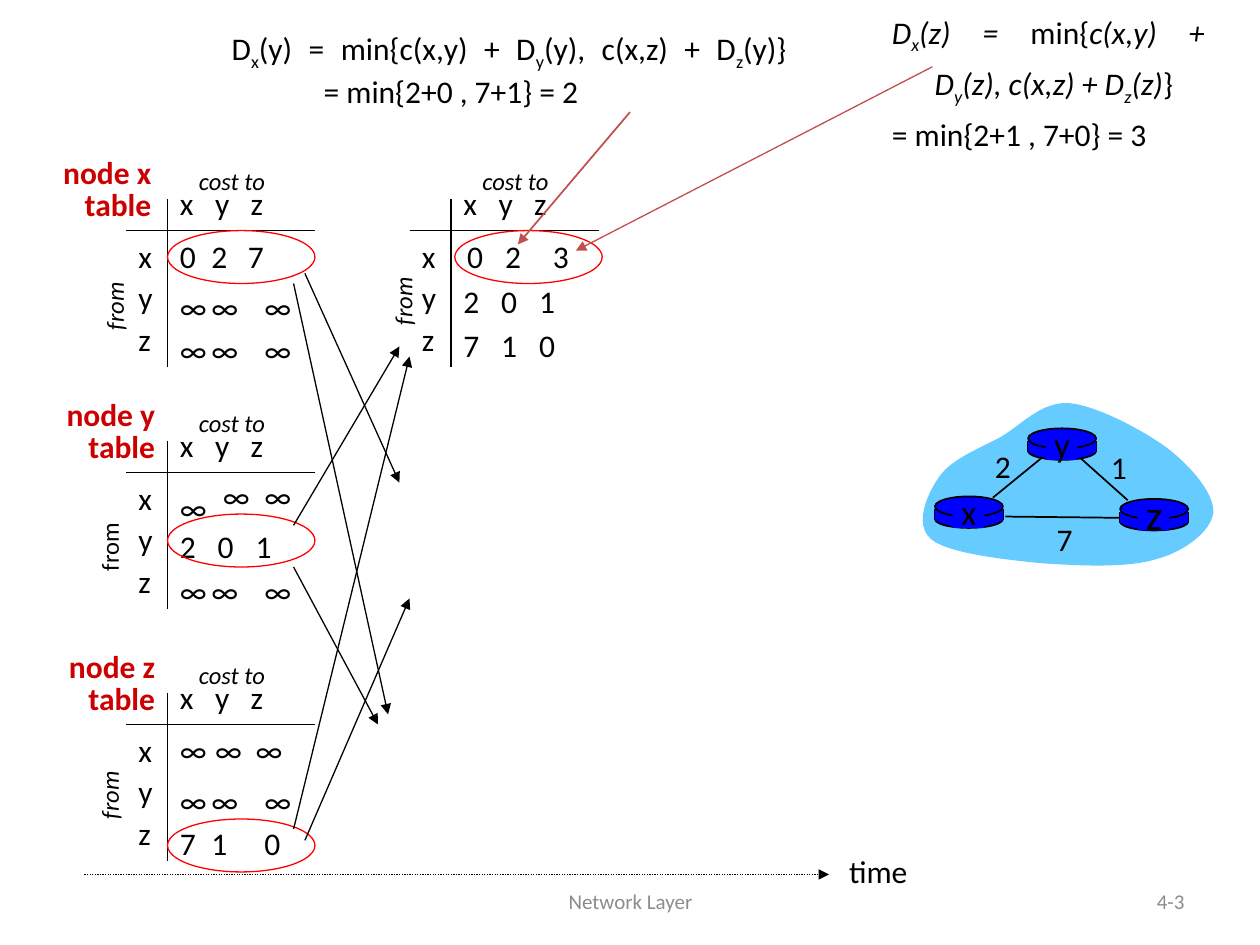
from lxml import etree
from pptx import Presentation
from pptx.dml.color import RGBColor
from pptx.enum.dml import MSO_LINE
from pptx.enum.shapes import MSO_CONNECTOR, MSO_SHAPE
from pptx.enum.text import MSO_ANCHOR, PP_ALIGN
from pptx.oxml.ns import qn
from pptx.util import Inches, Pt

STRAIGHT = MSO_CONNECTOR.STRAIGHT
OVAL, RECT = MSO_SHAPE.OVAL, MSO_SHAPE.RECTANGLE
LEFT, CENTER = PP_ALIGN.LEFT, PP_ALIGN.CENTER
RIGHT, JUST = PP_ALIGN.RIGHT, PP_ALIGN.JUSTIFY
TOP, MIDDLE = MSO_ANCHOR.TOP, MSO_ANCHOR.MIDDLE
DOTS = MSO_LINE.ROUND_DOT
BLACK, RED, BLUE, SKY = "000000", "FF0000", "0000FF", "66CCFF"
BRICK, CRIMSON, GRAY = "C0504D", "CC0000", "8C8C8C"
STEPS = 12
TRIO = (0, .25, .67)


def color(code):
    """Turn a hex string into a colour."""
    return RGBColor.from_string(code)


def add_run(para, text, size, ink, bold, italic, sub=False):
    """Add one formatted run."""
    run = para.add_run()
    run.text = text
    font = run.font
    font.name, font.size, font.bold, font.italic = "Calibri", Pt(size), bold, italic
    font.color.rgb = color(ink)
    if sub:
        run._r.get_or_add_rPr().set("baseline", "-25000")


def write(slide, text, x, y, w, h=.4, size=18, ink=BLACK, bold=False, italic=False,
          align=LEFT, anchor=TOP, wrap=False, turn=0, space=None, tabs=(), hang=0):
    """Write paragraphs; * toggles italics, _ lowers a letter, | breaks a line."""
    box = slide.shapes.add_textbox(Inches(x), Inches(y), Inches(w), Inches(h))
    box.rotation = turn
    frame = box.text_frame
    frame.word_wrap, frame.vertical_anchor = wrap, anchor
    for i, line in enumerate(text.split("\n")):
        para = frame.add_paragraph() if i else frame.paragraphs[0]
        para.alignment, para.line_spacing = align, space
        props = para._p.get_or_add_pPr()
        if hang and "|" in line:
            props.set("marL", str(Inches(hang)))
            props.set("indent", str(-Inches(hang)))
        if tabs:
            stops = etree.SubElement(props, qn("a:tabLst"))
            for stop in tabs:
                etree.SubElement(stops, qn("a:tab"), pos=str(Inches(stop)), algn="l")
        slant = italic
        for row, part in enumerate(line.split("|")):
            if row:
                para.add_line_break()
            for k, span in enumerate(part.split("*")):
                slant = slant != (k > 0)
                head, *lows = span.split("_")
                if head:
                    add_run(para, head, size, ink, bold, slant)
                for low in lows:
                    add_run(para, low[0], size, ink, bold, slant, True)
                    add_run(para, low[1:], size, ink, bold, slant)


def draw_line(slide, x1, y1, x2, y2, ink=BLACK, width=.75, arrow=False, dash=None):
    """Draw a straight line, with an arrowhead at its end if asked."""
    line = slide.shapes.add_connector(
        STRAIGHT, Inches(x1), Inches(y1), Inches(x2), Inches(y2))
    line.line.color.rgb, line.line.width = color(ink), Pt(width)
    if dash:
        line.line.dash_style = dash
    if arrow:
        etree.SubElement(line.line._get_or_add_ln(), qn("a:tailEnd"), type="triangle")
    etree.SubElement(line._element.spPr, qn("a:effectLst"))


def paint(shape, fill=None, ink=None, width=1):
    """Set the fill and outline of a shape."""
    shape.shadow.inherit = False
    if fill:
        shape.fill.solid()
        shape.fill.fore_color.rgb = color(fill)
    else:
        shape.fill.background()
    if ink:
        shape.line.color.rgb, shape.line.width = color(ink), Pt(width)
    else:
        shape.line.fill.background()


def draw_shape(slide, kind, x, y, w, h, fill=None, ink=None, width=1):
    """Draw a preset shape."""
    shape = slide.shapes.add_shape(kind, Inches(x), Inches(y), Inches(w), Inches(h))
    paint(shape, fill, ink, width)


def draw_table(slide, x, y, name, tag, side, rows, ring, slant=True):
    """Draw one distance table whose rules start at x and y."""
    axis, rule = x + .33, y + .25
    draw_line(slide, axis, y, axis, y + 1.33)
    draw_line(slide, x, rule, x + 1.5, rule)
    write(slide, "x\ty\tz", axis, y - .17, .99, wrap=True, tabs=(.28, .56))
    for i, node in enumerate("xyz"):
        write(slide, node, x, rule + i * .33, .33)
    write(slide, "cost to", x + .48, y - .31, .77, .33, size=14, italic=True)
    write(slide, "from", x + side[0], y + side[1], .59, .33,
          size=14, italic=slant, turn=270)
    if name:
        write(slide, f"node {name}\ntable", x + tag, y - .37, 1.01, .61,
              ink=CRIMSON, bold=True, align=RIGHT, space=.85)
    for dy, lefts, texts, tabs in rows:
        for dx, text in zip(lefts, texts):
            write(slide, text, axis + dx, y + dy, 1.1 if tabs else .38,
                  wrap=bool(tabs), tabs=tabs)
    draw_shape(slide, OVAL, axis + ring[0], y + ring[1], 1.17, .42, ink=RED, width=.75)


def draw_cloud(slide, start, curves):
    """Draw the smooth backdrop of the network."""
    points, here = [], start
    for a, b, end in curves:
        for i in range(1, STEPS + 1):
            t = i / STEPS
            u = 1 - t
            points.append(tuple(
                Inches(u**3 * p + 3 * u * u * t * q + 3 * u * t * t * r + t**3 * s)
                for p, q, r, s in zip(here, a, b, end)))
        here = end
    form = slide.shapes.build_freeform(Inches(start[0]), Inches(start[1]), scale=1.0)
    form.add_line_segments(points, close=True)
    paint(form.convert_to_shape(), SKY)


def draw_router(slide, x, y, name, size):
    """Draw a router disc with its name."""
    draw_shape(slide, OVAL, x, y + .11, .54, .14, BLUE, BLACK)
    for edge in (x, x + .54):
        draw_line(slide, edge, y + .1, edge, y + .19, width=1)
    draw_shape(slide, RECT, x, y + .1, .54, .09, BLUE)
    draw_shape(slide, OVAL, x, y, .54, .16, BLUE, BLACK)
    draw_shape(slide, RECT, x + .14, y + .02, .25, .23, BLUE)
    high = size / 46
    write(slide, name, x + .1, y + .125 - high / 2, .34, high, size=size, align=CENTER)


def draw_net(slide):
    """Draw the three routers and the costs of their links."""
    draw_cloud(slide, (7.45, 3.79), [
        ((7.54, 3.65), (7.77, 3.56), (7.94, 3.47)),
        ((8.11, 3.37), (8.27, 3.18), (8.49, 3.2)),
        ((8.71, 3.22), (9.08, 3.42), (9.27, 3.56)),
        ((9.46, 3.71), (9.64, 3.92), (9.63, 4.07)),
        ((9.61, 4.22), (9.4, 4.38), (9.17, 4.44)),
        ((8.94, 4.51), (8.55, 4.49), (8.26, 4.47)),
        ((7.96, 4.44), (7.52, 4.39), (7.39, 4.28)),
        ((7.25, 4.16), (7.36, 3.92), (7.45, 3.79))])
    for ends in [(7.88, 3.95, 8.26, 3.64), (8.58, 3.64, 8.95, 3.97),
                 (8.91, 4.11, 7.98, 4.1)]:
        draw_line(slide, *ends, width=1)
    for router in [(7.42, 3.94, "x", 20), (8.89, 3.96, "z", 24), (8.16, 3.4, "y", 20)]:
        draw_router(slide, *router)
    for cost, x, y in [("1", 8.71, 3.51), ("2", 7.79, 3.5), ("7", 8.28, 4.08)]:
        write(slide, cost, x, y, .34, align=CENTER)


def draw_flow(slide):
    """Draw the exchange of vectors and the time axis."""
    for ends in [(2.42, 2.17, 3.17, 3.83), (2.33, 2.25, 3.08, 5.67),
                 (2.33, 4.17, 3.17, 2.75), (2.33, 4.5, 3, 5.75),
                 (2.33, 6.58, 3.25, 2.83), (2.42, 6.67, 3.25, 4.75)]:
        draw_line(slide, *ends, arrow=True)
    draw_line(slide, .67, 6.94, 6.58, 6.94, arrow=True, dash=DOTS)
    write(slide, "time", 6.64, 6.71, .67)


def draw_sums(slide):
    """Write both equations and point to their results."""
    write(slide, "D_x(y) = min{c(x,y) + D_y(y), c(x,z) + D_z(y)}|= min{2+0 , 7+1} = 2",
          1.74, .2, 4.6, .7, align=JUST, anchor=MIDDLE, wrap=True, hang=.73)
    write(slide, "*D_x(z) = *min{*c(x,y) +|D_y(z), c(x,z) + D_z(z)*}\n= min{2+1 , 7+0} = 3",
          6.98, .03, 2.68, 1.18, align=JUST, anchor=MIDDLE, wrap=True, space=1.2, hang=.34)
    draw_line(slide, 5, .89, 4.11, 1.94, BRICK, 1, True)
    draw_line(slide, 7.4, .53, 4.57, 1.99, BRICK, .75, True)


def main():
    """Build the slide."""
    deck = Presentation()
    deck.slide_width, deck.slide_height = Inches(10), Inches(7.5)
    slide = deck.slides.add_slide(deck.slide_layouts[6])
    write(slide, "Network Layer", 3.42, 6.95, 3.17, size=12, ink=GRAY,
          align=CENTER, anchor=MIDDLE, wrap=True)
    write(slide, "4-3", 7.17, 6.95, 2.33, size=12, ink=GRAY,
          align=RIGHT, anchor=MIDDLE, wrap=True)
    wide = (.3, .6)
    draw_table(slide, 1, 1.58, "x", -.71, (-.39, .68), [
        (.25, (0,), ["0\t2\t7"], (.25, .54)),
        (.66, TRIO, "∞∞∞", ()), (1, TRIO, "∞∞∞", ())], (0, .25))
    draw_table(slide, 3.25, 1.58, "", 0, (-.35, .64), [
        (.25, (.03, .33, .71), "023", ()),
        (.61, (0,), ["2\t0\t1"], wide), (.96, (0,), ["7\t1\t0"], wide)], (.03, .25))
    draw_table(slide, 1, 3.5, "y", -.68, (-.43, .67), [
        (.24, (.34, .67), "∞∞", ()), (.33, (0,), ["∞\n2\t0\t1"], wide),
        (.99, TRIO, "∞∞∞", ())], (0, .58), slant=False)
    draw_table(slide, 1, 5.5, "z", -.68, (-.43, .64), [
        (.25, (0,), ["∞\t∞\t∞"], (.28, .6)),
        (.66, TRIO, "∞∞∞", ()), (.99, TRIO, "710", ())], (0, 1))
    draw_flow(slide)
    draw_net(slide)
    draw_sums(slide)
    deck.save("out.pptx")


if __name__ == "__main__":
    main()
